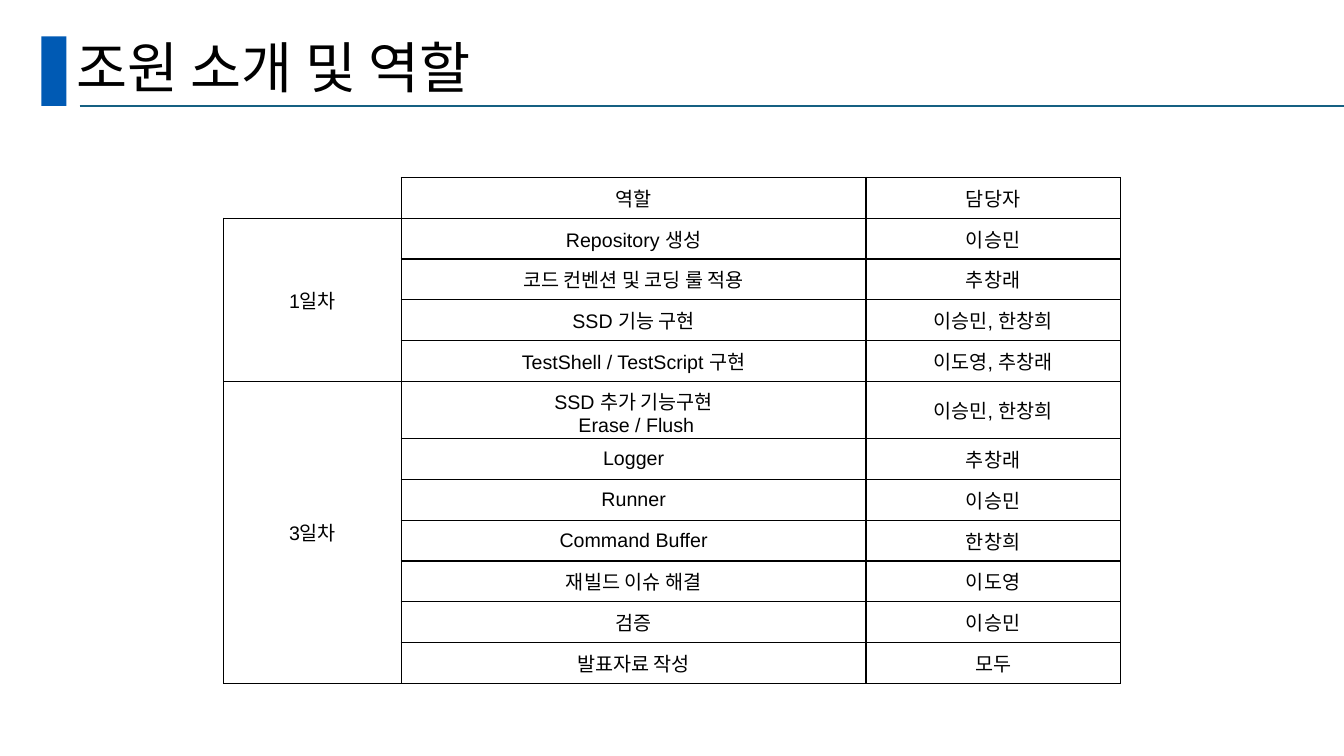
from lxml import etree
from pptx import Presentation
from pptx.dml.color import RGBColor
from pptx.enum.shapes import MSO_CONNECTOR, MSO_SHAPE
from pptx.enum.text import MSO_ANCHOR, PP_ALIGN
from pptx.oxml.ns import qn
from pptx.util import Inches, Pt

STRAIGHT = MSO_CONNECTOR.STRAIGHT
RECTANGLE = MSO_SHAPE.RECTANGLE
MIDDLE = MSO_ANCHOR.MIDDLE
CENTER = PP_ALIGN.CENTER

COLORS = {"accent": "005AB4", "rule": "156082", "text": "000000", "border": "000000"}
KOREAN_FONT = "Noto Sans CJK KR"
ROLES = [
    ("", "역할", "담당자"),
    ("1일차", "Repository 생성", "이승민"),
    ("", "코드 컨벤션 및 코딩 룰 적용", "추창래"),
    ("", "SSD 기능 구현", "이승민, 한창희"),
    ("", "TestShell / TestScript 구현", "이도영, 추창래"),
    ("3일차", "SSD 추가 기능구현\n Erase / Flush", "이승민, 한창희"),
    ("", "Logger", "추창래"),
    ("", "Runner", "이승민"),
    ("", "Command Buffer", "한창희"),
    ("", "재빌드 이슈 해결", "이도영"),
    ("", "검증", "이승민"),
    ("", "발표자료 작성", "모두"),
]
COLUMN_WIDTHS = [1.76, 4.61, 2.52]
DAY_SPANS = [(1, 4), (5, 11)]


def add_run(paragraph, text, size, font_name):
    run = paragraph.add_run()
    run.text = text
    run.font.size = Pt(size)
    run.font.name = font_name
    run.font.color.rgb = RGBColor.from_string(COLORS["text"])
    east_asian = etree.SubElement(run.font._element, qn("a:ea"))
    east_asian.set("typeface", KOREAN_FONT)


def add_borders(cell, sides):
    properties = cell._tc.get_or_add_tcPr()
    for position, side in enumerate(sides):
        line = etree.Element(qn(f"a:ln{side}"), w=str(Pt(1)))
        fill = etree.SubElement(line, qn("a:solidFill"))
        etree.SubElement(fill, qn("a:srgbClr"), val=COLORS["border"])
        properties.insert(position, line)


presentation = Presentation()
presentation.slide_width = Inches(13.33)
presentation.slide_height = Inches(7.5)
slide = presentation.slides.add_slide(presentation.slide_layouts[6])

title_bar = slide.shapes.add_shape(
    RECTANGLE, Inches(0.41), Inches(0.36), Inches(0.25), Inches(0.69))
title_bar.shadow.inherit = False
title_bar.fill.solid()
title_bar.fill.fore_color.rgb = RGBColor.from_string(COLORS["accent"])
title_bar.line.fill.background()

title_rule = slide.shapes.add_connector(
    STRAIGHT, Inches(0.79), Inches(1.05), Inches(13.33), Inches(1.05))
title_rule.line.color.rgb = RGBColor.from_string(COLORS["rule"])
title_rule.line.width = Pt(1.5)
etree.SubElement(title_rule._element.spPr, qn("a:effectLst"))

title = slide.shapes.add_textbox(Inches(0.66), Inches(0.34), Inches(11.5), Inches(0.71))
title.text_frame.word_wrap = True
title.text_frame.vertical_anchor = MIDDLE
title_paragraph = title.text_frame.paragraphs[0]
title_paragraph.line_spacing = 0.9
add_run(title_paragraph, "조원 소개 및 역할", 39.6, KOREAN_FONT)

table = slide.shapes.add_table(
    len(ROLES), len(COLUMN_WIDTHS),
    Inches(2.22), Inches(1.76), Inches(8.89), Inches(4.86)).table
table.first_row = False
table.horz_banding = False
for column, width in zip(table.columns, COLUMN_WIDTHS):
    column.width = Inches(width)

for row_index, row in enumerate(ROLES):
    for column_index, text in enumerate(row):
        cell = table.cell(row_index, column_index)
        cell.fill.background()
        cell.vertical_anchor = MIDDLE
        is_corner = row_index == 0 and column_index == 0
        add_borders(cell, "RB" if is_corner else "LRTB")
        for line_index, line_text in enumerate(text.split("\n")):
            frame = cell.text_frame
            paragraph = frame.add_paragraph() if line_index else frame.paragraphs[0]
            paragraph.alignment = CENTER
            if line_text:
                add_run(paragraph, line_text, 14, "Arial")

for first_row, last_row in DAY_SPANS:
    table.cell(first_row, 0).merge(table.cell(last_row, 0))

presentation.save("out.pptx")
